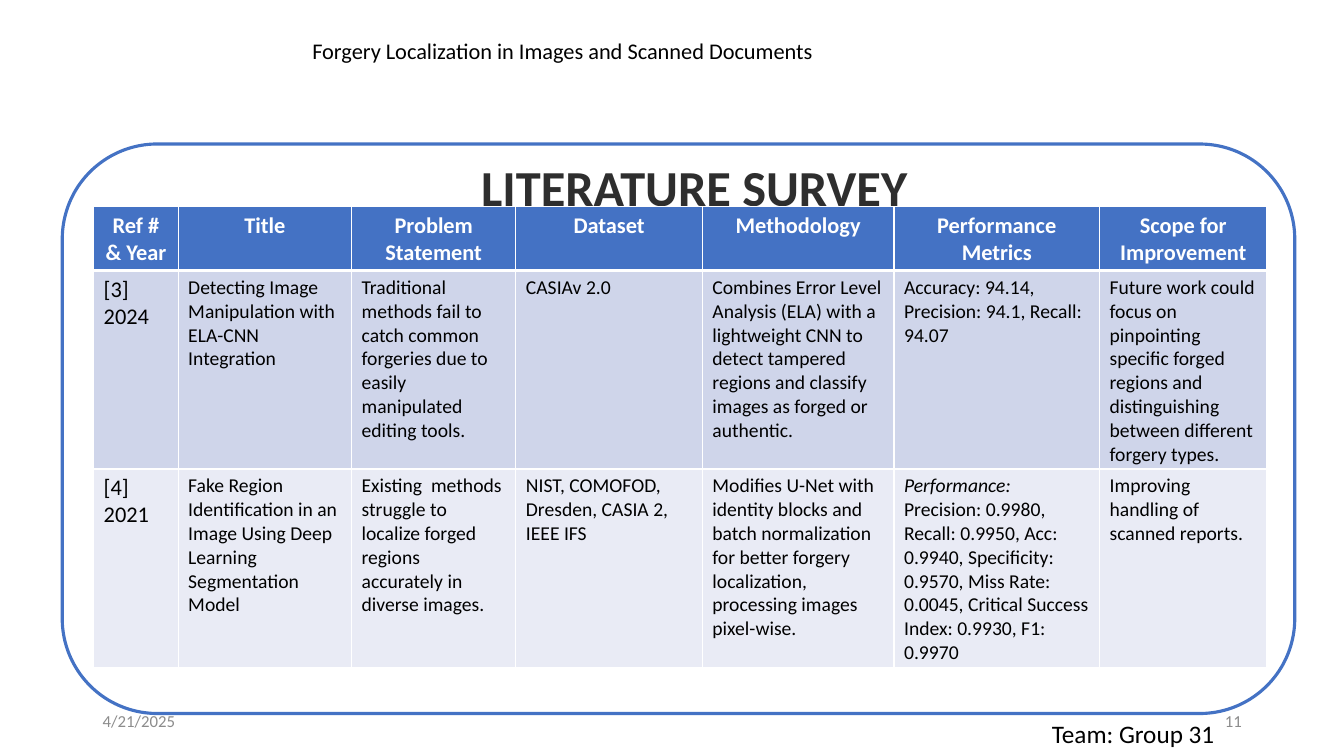
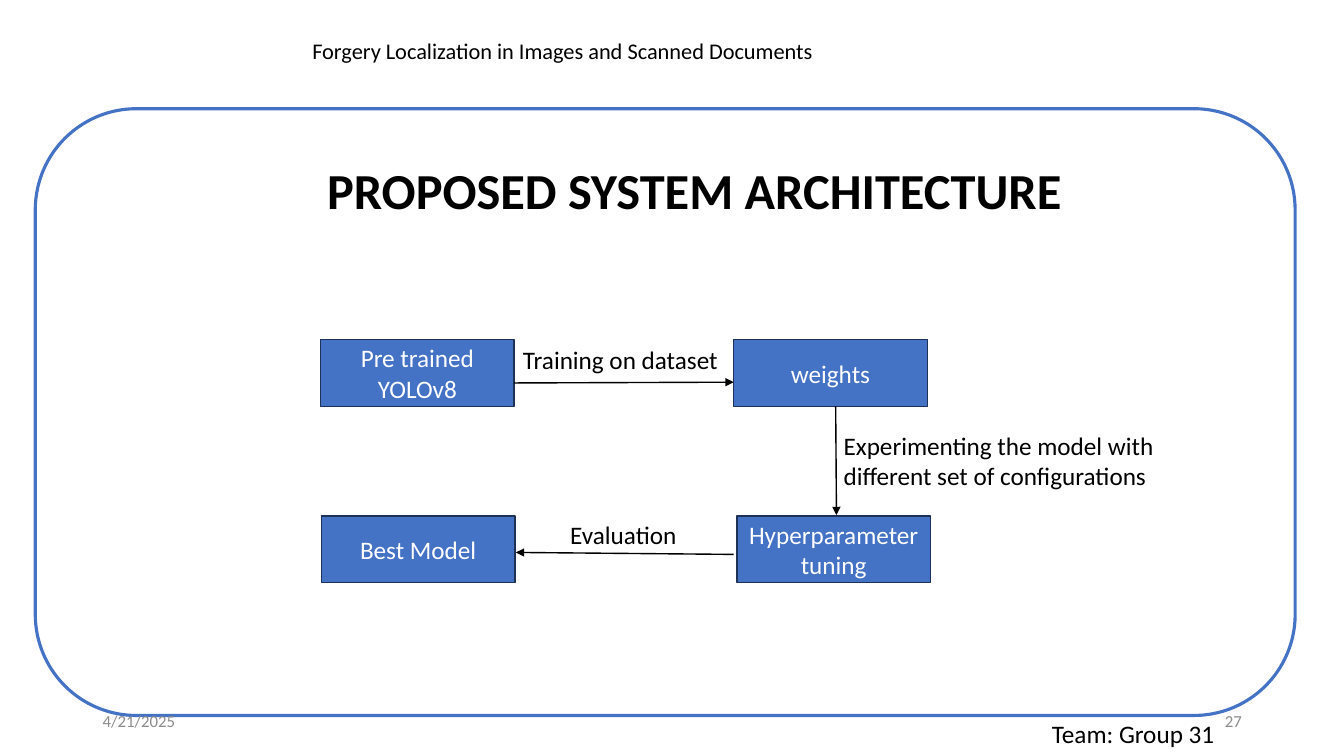
from lxml.etree import SubElement
from pptx import Presentation
from pptx.dml.color import RGBColor
from pptx.enum.shapes import MSO_CONNECTOR, MSO_SHAPE
from pptx.enum.text import MSO_ANCHOR, MSO_AUTO_SIZE, PP_ALIGN
from pptx.oxml.ns import qn
from pptx.util import Cm, Pt

FONT = "Calibri"
BLUE, NAVY, WHITE, BLACK = "4472C4", "1E3256", "FFFFFF", "000000"
DARK, GRAY = "2E2E2E", "8C8C8C"
BANDS = [BLUE, "CFD5EA", "E9EBF5"]
LEFT, MID, RIGHT = PP_ALIGN.LEFT, PP_ALIGN.CENTER, PP_ALIGN.RIGHT


def rgb(code):
    return RGBColor.from_string(code)


def write(frame, text, size, color, align=LEFT, bold=False):
    """Fill a frame line by line; text between asterisks is italic."""
    frame.word_wrap = True
    for num, line in enumerate(text.split("\n")):
        para = frame.add_paragraph() if num else frame.paragraphs[0]
        para.alignment = align
        for pos, part in enumerate(line.split("*")):
            if part:
                run = para.add_run()
                run.text = part
                font = run.font
                font.name, font.size = FONT, Pt(size)
                font.bold, font.italic = bold, pos % 2 == 1
                font.color.rgb = rgb(color)


deck = Presentation()
deck.slide_width, deck.slide_height = Cm(33.87), Cm(19.05)

# Labels on every slide: left, top, width, height, text, size, colour, align
shared = [
    (7.62, 0.81, 19.76, 0.95,
     "Forgery Localization in Images and Scanned Documents", 16, BLACK, LEFT),
    (26.26, 17.98, 7.6, 1.02, "Team: Group 31", 18, BLACK, LEFT),
    (2.34, 17.78, 7.62, 0.76, "4/21/2025", 12, GRAY, LEFT),
]
flow = [
    (12.93, 8.56, 7.5, 1.02, "Training on dataset", 18, BLACK, LEFT),
    (14.12, 12.95, 7.5, 1.02, "Evaluation", 18, BLACK, LEFT),
    (21.01, 10.72, 8.64, 1.8,
     "Experimenting the model with different set of configurations",
     18, BLACK, LEFT),
]

# Title, its colour and top, page number, frame box, extra labels
pages = [
    ("LITERATURE SURVEY", DARK, 3.81, "11", (1.57, 3.63, 31.06, 14.35), []),
    ("PROPOSED SYSTEM ARCHITECTURE", BLACK, 3.89, "27",
     (0.89, 2.74, 31.75, 15.29), flow),
]
slides = []
for head, color, top, page, box, extra in pages:
    slide = deck.slides.add_slide(deck.slide_layouts[5])
    slides.append(slide)

    # Rounded frame
    frame = slide.shapes.add_shape(MSO_SHAPE.ROUNDED_RECTANGLE, *map(Cm, box))
    frame.shadow.inherit = False
    frame.fill.background()
    frame.line.color.rgb = rgb(BLUE)
    frame.line.width = Pt(2.25)

    # Title
    title = slide.shapes.title
    title.left, title.top = Cm(7), Cm(top)
    title.width, title.height = Cm(21), Cm(1.8)
    title.text_frame.vertical_anchor = MSO_ANCHOR.TOP
    title.text_frame.auto_size = MSO_AUTO_SIZE.NONE
    write(title.text_frame, head, 36, color, MID, True)

    # Header, footers and labels
    number = (23.93, 17.78, 7.62, 0.76, page, 12, GRAY, RIGHT)
    for *box, text, size, tint, align in [*shared, number, *extra]:
        label = slide.shapes.add_textbox(*map(Cm, box))
        write(label.text_frame, text, size, tint, align)

survey, system = slides

# Survey table
widths = [2.13, 4.37, 4.14, 4.7, 4.83, 5.18, 4.22]
heights = [1.57, 5, 5]
rows = [
    ["Ref # & Year", "Title", "Problem Statement", "Dataset", "Methodology",
     "Performance Metrics", "Scope for Improvement"],
    ["[3]\n2024",
     "Detecting Image Manipulation with ELA-CNN Integration",
     "Traditional methods fail to catch common forgeries due to easily "
     "manipulated editing tools.",
     "CASIAv 2.0",
     "Combines Error Level Analysis (ELA) with a lightweight CNN to detect "
     "tampered regions and classify images as forged or authentic.",
     "Accuracy: 94.14, Precision: 94.1, Recall: 94.07",
     "Future work could focus on pinpointing specific forged regions and "
     "distinguishing between different forgery types."],
    ["[4]\n2021",
     "Fake Region Identification in an Image Using Deep Learning "
     "Segmentation Model",
     "Existing  methods struggle to localize forged regions accurately in "
     "diverse images.",
     "NIST, COMOFOD, Dresden, CASIA 2, IEEE IFS",
     "Modifies U-Net with identity blocks and batch normalization for better "
     "forgery localization, processing images pixel-wise.",
     "*Performance:* Precision: 0.9980, Recall: 0.9950, Acc: 0.9940, "
     "Specificity: 0.9570, Miss Rate: 0.0045, Critical Success Index: "
     "0.9930, F1: 0.9970",
     "Improving handling of scanned reports."],
]
table = survey.shapes.add_table(
    len(rows), len(widths), Cm(2.36), Cm(5.21),
    Cm(sum(widths)), Cm(sum(heights))).table
for col, width in zip(table.columns, widths):
    col.width = Cm(width)
for r, texts in enumerate(rows):
    table.rows[r].height = Cm(heights[r])
    for c, text in enumerate(texts):
        cell = table.cell(r, c)
        cell.fill.solid()
        cell.fill.fore_color.rgb = rgb(BANDS[r])
        if r == 0:
            write(cell.text_frame, text, 16, WHITE, MID, True)
        else:
            write(cell.text_frame, text, 14 if c else 16, BLACK)
        # White borders, thicker under the header
        props = cell._tc.get_or_add_tcPr()
        for pos, side in enumerate("LRTB"):
            thick = (r, side) in [(0, "B"), (1, "T")]
            edge = SubElement(props, qn("a:ln" + side),
                              w=str(Pt(3 if thick else 1)))
            fill = SubElement(edge, qn("a:solidFill"))
            SubElement(fill, qn("a:srgbClr"), val=WHITE)
            props.insert(pos, edge)

# Flow boxes
steps = [
    (8.08, 8.56, "Pre trained YOLOv8"),
    (18.49, 8.56, "weights"),
    (18.57, 13, "Hyperparameter tuning"),
    (8.1, 13, "Best Model"),
]
for left, top, text in steps:
    step = system.shapes.add_shape(
        MSO_SHAPE.RECTANGLE, Cm(left), Cm(top), Cm(4.88), Cm(1.68))
    step.shadow.inherit = False
    step.fill.solid()
    step.fill.fore_color.rgb = rgb(BLUE)
    step.line.color.rgb = rgb(NAVY)
    step.line.width = Pt(1)
    step.text_frame.vertical_anchor = MSO_ANCHOR.MIDDLE
    write(step.text_frame, text, 18, WHITE, MID)

# Arrows between the boxes
arrows = [
    (12.95, 9.65, 18.49, 9.63),
    (21.06, 10.24, 21.08, 12.98),
    (18.49, 13.97, 13, 13.92),
]
for ends in arrows:
    arrow = system.shapes.add_connector(MSO_CONNECTOR.STRAIGHT, *map(Cm, ends))
    arrow.line.color.rgb = rgb(BLACK)
    arrow.line.width = Pt(1)
    SubElement(arrow.line._get_or_add_ln(), qn("a:tailEnd"), type="triangle")
    SubElement(arrow._element.spPr, qn("a:effectLst"))

deck.save("out.pptx")
